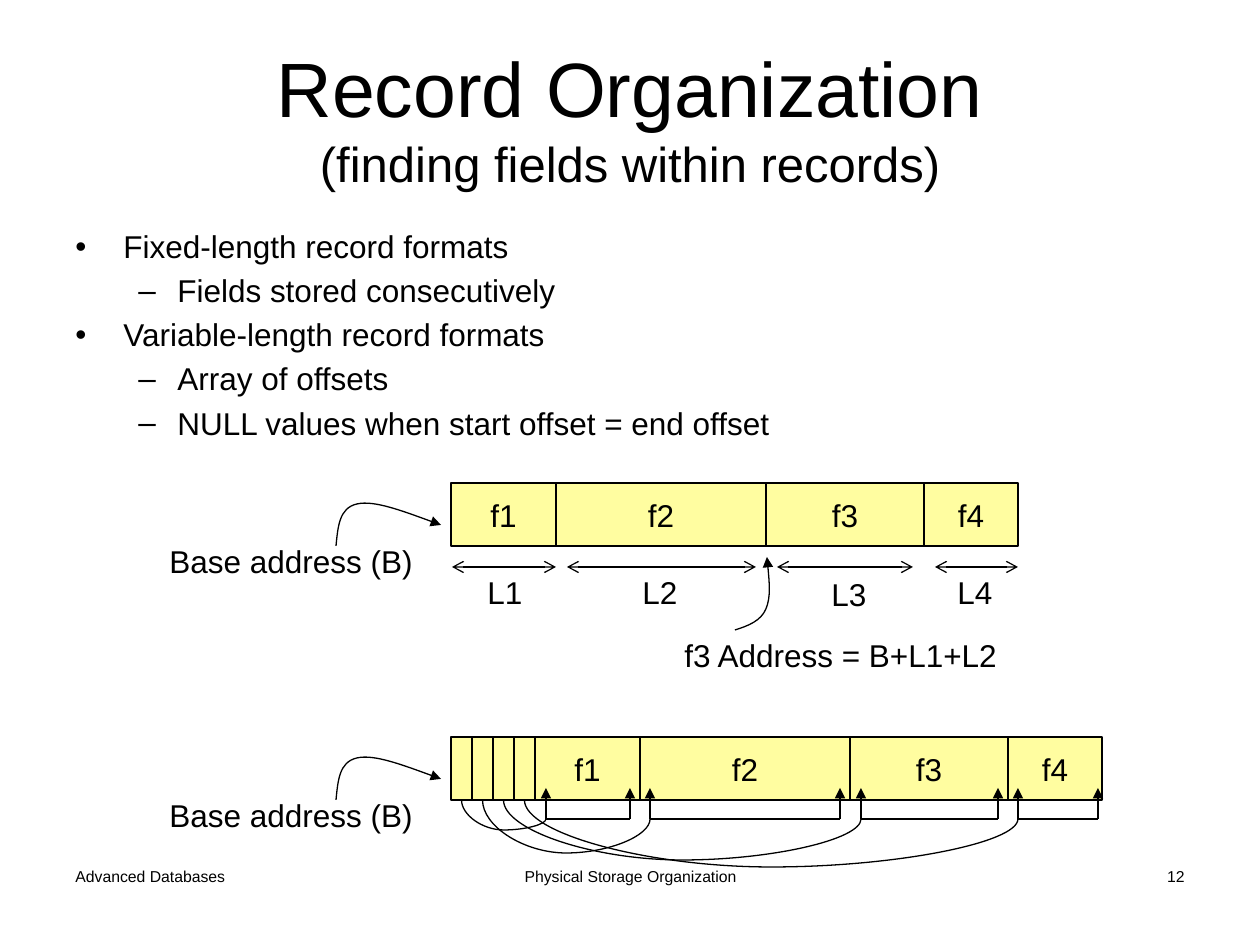
from dataclasses import dataclass
from itertools import accumulate

from lxml import etree
from pptx import Presentation
from pptx.dml.color import RGBColor
from pptx.enum.shapes import MSO_CONNECTOR, MSO_SHAPE
from pptx.enum.text import MSO_ANCHOR, PP_ALIGN
from pptx.oxml.ns import qn
from pptx.util import Emu, Pt

RECT = MSO_SHAPE.RECTANGLE
STRAIGHT, CURVE = MSO_CONNECTOR.STRAIGHT, MSO_CONNECTOR.CURVE
LEFT, CENTER, RIGHT = PP_ALIGN.LEFT, PP_ALIGN.CENTER, PP_ALIGN.RIGHT
TOP, MIDDLE = MSO_ANCHOR.TOP, MSO_ANCHOR.MIDDLE

EMU_PER_PX = 914400 // 126


@dataclass(frozen=True)
class Theme:
    """Colours, font and type sizes of the slide."""
    ink: RGBColor = RGBColor(0x00, 0x00, 0x00)
    field: RGBColor = RGBColor(0xFF, 0xFD, 0xA0)
    font: str = "Arial"
    title: int = 44
    subtitle: int = 28
    body: int = 18
    footer: int = 9
    line: float = 0.75


THEME = Theme()
RECORD_X, FIELD_H = 451, 63
FIELDS = {"f1": 105, "f2": 210, "f3": 158, "f4": 94}
SLOT_W = 21
BODY = [
    (0, "Fixed-length record formats"),
    (1, "Fields stored consecutively"),
    (0, "Variable-length record formats"),
    (1, "Array of offsets"),
    (1, "NULL values when start offset = end offset"),
]
BULLETS = [("•", 48, -48), ("–", 102, -39)]


def px(n):
    """Turn picture pixels into EMU."""
    return Emu(round(n * EMU_PER_PX))


def style_runs(p, *sizes):
    """Format the runs of a paragraph, one size for each run."""
    for r, size in zip(p.runs, sizes):
        r.font.name = THEME.font
        r.font.size = Pt(size)
        r.font.color.rgb = THEME.ink


def add_text(shapes, box, text, *sizes, align=LEFT, anchor=TOP):
    """Add a text box at (left, top, width, height)."""
    sp = shapes.add_textbox(*map(px, box))
    tf = sp.text_frame
    tf.word_wrap = True
    tf.vertical_anchor = anchor
    tf.text = text
    for p in tf.paragraphs:
        p.alignment = align
        style_runs(p, *sizes)
    return tf


def add_bullets(shapes, box, items):
    """Add a two-level bulleted list."""
    text = "\n".join(line for _, line in items)
    tf = add_text(shapes, box, text, THEME.body)
    for p, (level, _) in zip(tf.paragraphs, items):
        char, margin, indent = BULLETS[level]
        p.level = level
        pPr = p._p.get_or_add_pPr()
        pPr.set("marL", str(px(margin)))
        pPr.set("indent", str(px(indent)))
        before = etree.SubElement(pPr, qn("a:spcBef"))
        etree.SubElement(before, qn("a:spcPct"), val="20000")
        etree.SubElement(pPr, qn("a:buFont"), typeface=THEME.font)
        etree.SubElement(pPr, qn("a:buChar"), char=char)


def set_line(sp, **ends):
    """Draw a thin line, with arrowheads given as headEnd or tailEnd."""
    sp.line.color.rgb = THEME.ink
    sp.line.width = Pt(THEME.line)
    ln = sp.element.spPr.find(qn("a:ln"))
    for end, kind in ends.items():
        etree.SubElement(ln, qn(f"a:{end}"), type=kind)


def add_line(shapes, start, end, kind=STRAIGHT, **ends):
    """Add a connector between two points."""
    cxn = shapes.add_connector(kind, *map(px, start + end))
    set_line(cxn, **ends)
    etree.SubElement(cxn.element.spPr, qn("a:effectLst"))
    return cxn


def add_sagging_curve(shapes, start, end, depth):
    """Add a curved connector that hangs `depth` below its start."""
    (x1, y1), (x2, y2) = start, end
    cx, cy = (x1 + x2) / 2, (y1 + y2) / 2
    half_w, half_h = (y2 - y1) / 2, (x2 - x1) / 2
    cxn = add_line(shapes, (cx + half_w, cy - half_h),
                   (cx - half_w, cy + half_h), CURVE)
    spPr = cxn.element.spPr
    spPr.find(qn("a:xfrm")).set("rot", str(270 * 60000))
    geom = spPr.find(qn("a:prstGeom"))
    av = geom.find(qn("a:avLst"))
    if av is None:
        av = etree.SubElement(geom, qn("a:avLst"))
    adj = round(depth / (y2 - y1) * 100000)
    etree.SubElement(av, qn("a:gd"), name="adj1", fmla=f"val {adj}")


def add_bezier_arrow(shapes, points, dy=0):
    """Add an arrow of cubic curves through a start and point triples."""
    first, *rest = [(x, y + dy) for x, y in points]
    builder = shapes.build_freeform(*first, scale=EMU_PER_PX)
    builder.add_line_segments(rest, close=False)
    sp = builder.convert_to_shape()
    outline = sp.element.spPr.find(".//" + qn("a:path"))
    segments = outline.findall(qn("a:lnTo"))
    for i in range(0, len(segments), 3):
        bezier = etree.SubElement(outline, qn("a:cubicBezTo"))
        for seg in segments[i:i + 3]:
            bezier.append(seg[0])
            outline.remove(seg)
    sp.fill.background()
    sp.shadow.inherit = False
    set_line(sp, tailEnd="triangle")


def add_cell(shapes, x, y, w, text=""):
    """Add one cell of a record."""
    sp = shapes.add_shape(RECT, px(x), px(y), px(w), px(FIELD_H))
    sp.shadow.inherit = False
    sp.fill.solid()
    sp.fill.fore_color.rgb = THEME.field
    set_line(sp)
    if text:
        tf = sp.text_frame
        tf.word_wrap = False
        tf.vertical_anchor = MIDDLE
        tf.text = text
        p = tf.paragraphs[0]
        p.alignment = CENTER
        style_runs(p, THEME.body)


def add_record(shapes, x, y):
    """Add the four fields of a record and its base address pointer."""
    lefts = accumulate(FIELDS.values(), initial=x)
    for (name, w), left in zip(FIELDS.items(), lefts):
        add_cell(shapes, left, y, w, name)
    add_text(shapes, (157, y + 53, 285, 50), "Base address (B)", THEME.body)
    add_bezier_arrow(shapes, [(336, 63), (338, 44), (339, 25), (357, 21),
                              (374, 17), (408, 30), (441, 42)], dy=y)


def add_fixed_record(shapes, y):
    """Add the record whose field lengths are fixed."""
    add_record(shapes, RECORD_X, y)
    lengths = [("L1", 452, 556, 475, 84), ("L2", 567, 756, 630, 84),
               ("L3", 777, 913, 819, 86), ("L4", 935, 1018, 945, 84)]
    for name, x1, x2, label_x, label_dy in lengths:
        add_line(shapes, (x1, y + 84), (x2, y + 84),
                 headEnd="arrow", tailEnd="arrow")
        add_text(shapes, (label_x, y + label_dy, 66, 50), name, THEME.body)
    add_text(shapes, (672, y + 147, 360, 50), "f3 Address = B+L1+L2", THEME.body)
    add_bezier_arrow(shapes, [(735, 147), (748, 143), (761, 138), (766, 126),
                              (771, 114), (769, 94), (767, 74)], dy=y)


def add_variable_record(shapes, y):
    """Add the record that starts with an array of offsets."""
    spans = [(546, 630, 30), (650, 840, 53), (861, 998, 60), (1018, 1098, 67)]
    add_record(shapes, RECORD_X + len(spans) * SLOT_W, y)
    bottom, tip, bar = y + FIELD_H, y + 51, y + 82
    for i, (start, end, depth) in enumerate(spans):
        slot_x = RECORD_X + i * SLOT_W
        add_cell(shapes, slot_x, y, SLOT_W)
        for x in (start, end):
            add_line(shapes, (x, tip), (x, bar), headEnd="triangle")
        add_line(shapes, (start, bar), (end, bar))
        add_sagging_curve(shapes, (slot_x + SLOT_W / 2, bottom), (start, bar), depth)


def main():
    """Build the slide and save it."""
    prs = Presentation()
    prs.slide_width, prs.slide_height = px(1260), px(945)
    s = prs.slides.add_slide(prs.slide_layouts[6])
    footers = [(63, 294, "Advanced Databases", LEFT),
               (431, 399, "Physical Storage Organization", CENTER),
               (903, 294, "12", RIGHT)]
    for x, w, text, align in footers:
        add_text(s.shapes, (x, 861, w, 66), text, THEME.footer, align=align)
    add_text(s.shapes, (63, 38, 1134, 157),
             "Record Organization\v(finding fields within records)",
             THEME.title, THEME.subtitle, align=CENTER, anchor=MIDDLE)
    add_bullets(s.shapes, (63, 221, 1134, 624), BODY)
    add_fixed_record(s.shapes.add_group_shape().shapes, 483)
    add_variable_record(s.shapes.add_group_shape().shapes, 737)
    prs.save("out.pptx")


main()
